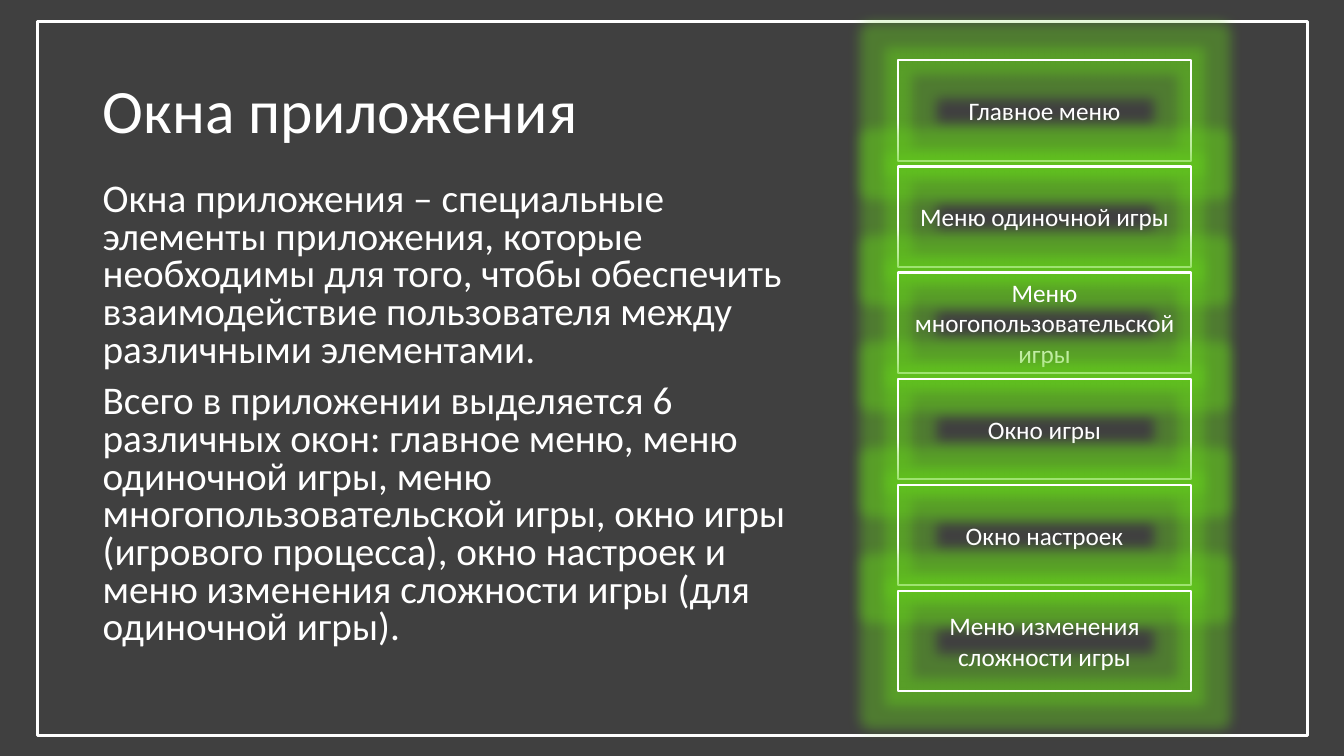
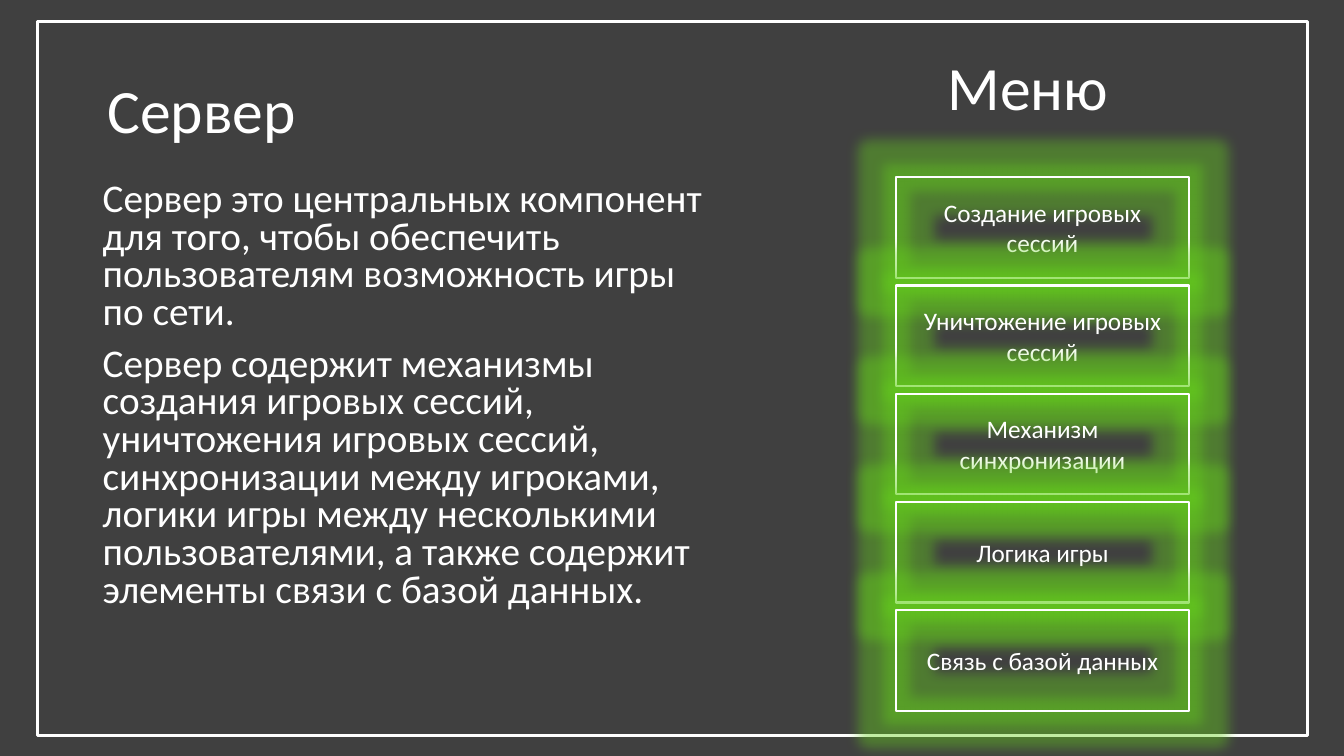
from lxml import etree
from pptx import Presentation
from pptx import util as u
from pptx.dml.color import RGBColor
from pptx.enum import shapes, text
from pptx.oxml.ns import qn

HUES = {"back": "404040", "ink": "FFFFFF", "glow": "66D41B"}
FONT = "Calibri"
LEFT, MID = text.PP_ALIGN.LEFT, text.PP_ALIGN.CENTER
TOP, CORE = text.MSO_ANCHOR.TOP, text.MSO_ANCHOR.MIDDLE


def write(shape, words, size, align=LEFT, anchor=CORE, gap=1.0, lead=0):
    frame = shape.text_frame
    frame.word_wrap = True
    frame.auto_size = text.MSO_AUTO_SIZE.NONE
    frame.vertical_anchor = anchor
    frame.text = words
    for par in frame.paragraphs:
        par.alignment = align
        par.line_spacing = gap
        par.space_before = u.Pt(lead)
        for run in par.runs:
            run.font.size = u.Pt(size)
            run.font.name = FONT
            run.font.color.rgb = RGBColor.from_string(HUES["ink"])


def outline(slide, area, width):
    box = slide.shapes.add_shape(shapes.MSO_SHAPE.RECTANGLE, *map(u.Inches, area))
    box.shadow.inherit = False
    box.fill.background()
    box.line.color.rgb = RGBColor.from_string(HUES["ink"])
    box.line.width = u.Pt(width)
    return box


pages = [
    {
        "title": "Окна приложения",
        "area": (0.92, 0.4, 6.57, 1.45),
        "align": LEFT,
        "body": [
            "Окна приложения – специальные элементы приложения, которые "
            "необходимы для того, чтобы обеспечить взаимодействие "
            "пользователя между различными элементами.",
            "Всего в приложении выделяется 6 различных окон: главное меню, "
            "меню одиночной игры, меню многопользовательской игры, окно игры "
            "(игрового процесса), окно настроек и меню изменения сложности "
            "игры (для одиночной игры).",
        ],
        "wide": 7.16,
        "head": None,
        "items": [
            "Главное меню",
            "Меню одиночной игры",
            "Меню многопользовательской игры",
            "Окно игры",
            "Окно настроек",
            "Меню изменения сложности игры",
        ],
        "left": 8.91,
        "first": 0.6,
        "last": 5.86,
    },
    {
        "title": "Сервер",
        "area": (0.55, 0.4, 2.9, 1.45),
        "align": MID,
        "body": [
            "Сервер это центральных компонент для того, чтобы обеспечить "
            "пользователям возможность игры по сети.",
            "Сервер содержит механизмы создания игровых сессий, уничтожения "
            "игровых сессий, синхронизации между игроками, логики игры между "
            "несколькими пользователями, а также содержит элементы связи с "
            "базой данных.",
        ],
        "wide": 6.18,
        "head": "Меню",
        "items": [
            "Создание игровых сессий",
            "Уничтожение игровых сессий",
            "Механизм синхронизации",
            "Логика игры",
            "Связь с базой данных",
        ],
        "left": 8.89,
        "first": 1.76,
        "last": 6.05,
    },
]

prs = Presentation()
prs.slide_width, prs.slide_height = u.Inches(13.33), u.Inches(7.5)
fill = prs.slide_master.background.fill
fill.solid()
fill.fore_color.rgb = RGBColor.from_string(HUES["back"])

for page in pages:
    slide = prs.slides.add_slide(prs.slide_layouts[5])
    outline(slide, (0.37, 0.21, 12.6, 7.09), 2.25)

    title = slide.shapes.title
    title.left, title.top, title.width, title.height = map(u.Inches, page["area"])
    write(title, page["title"], 44, page["align"], gap=0.9)

    area = (0.92, 1.76, page["wide"], 4.76)
    body = slide.shapes.add_textbox(*map(u.Inches, area))
    write(body, "\n".join(page["body"]), 28, anchor=TOP, gap=0.8, lead=10)

    if page["head"]:
        head = slide.shapes.add_textbox(*map(u.Inches, (9.3, 0.4, 2.07, 1)))
        write(head, page["head"], 44, gap=0.9)

    step = (page["last"] - page["first"]) / (len(page["items"]) - 1)
    for row, item in enumerate(page["items"]):
        box = outline(slide, (page["left"], page["first"] + row * step, 2.9, 1), 1.5)
        write(box, item, 18, MID)
        effects = box.element.spPr.find(qn("a:effectLst"))
        glow = etree.SubElement(effects, qn("a:glow"), rad=str(u.Pt(18)))
        tint = etree.SubElement(glow, qn("a:srgbClr"), val=HUES["glow"])
        etree.SubElement(tint, qn("a:alpha"), val="40000")

prs.save("out.pptx")
